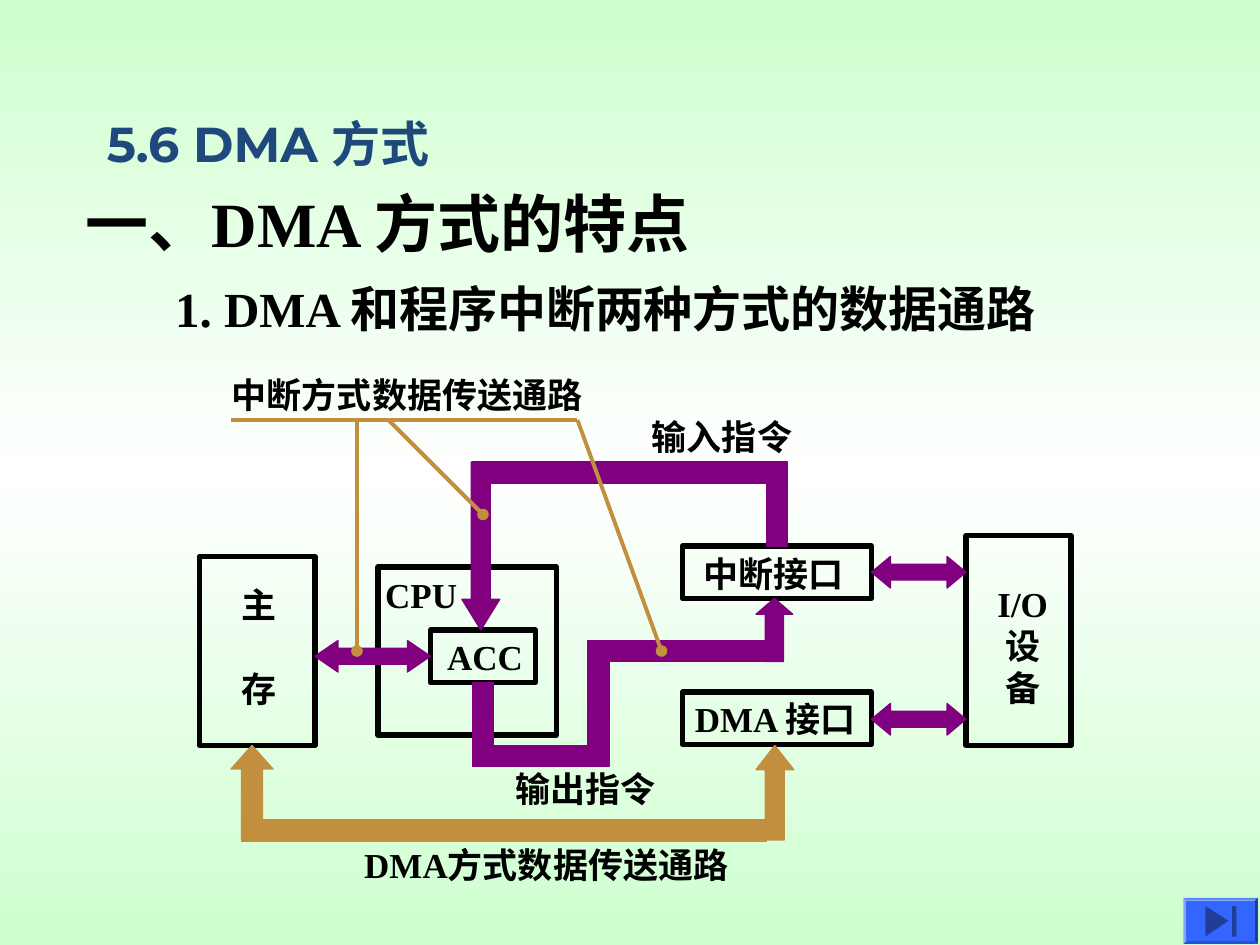
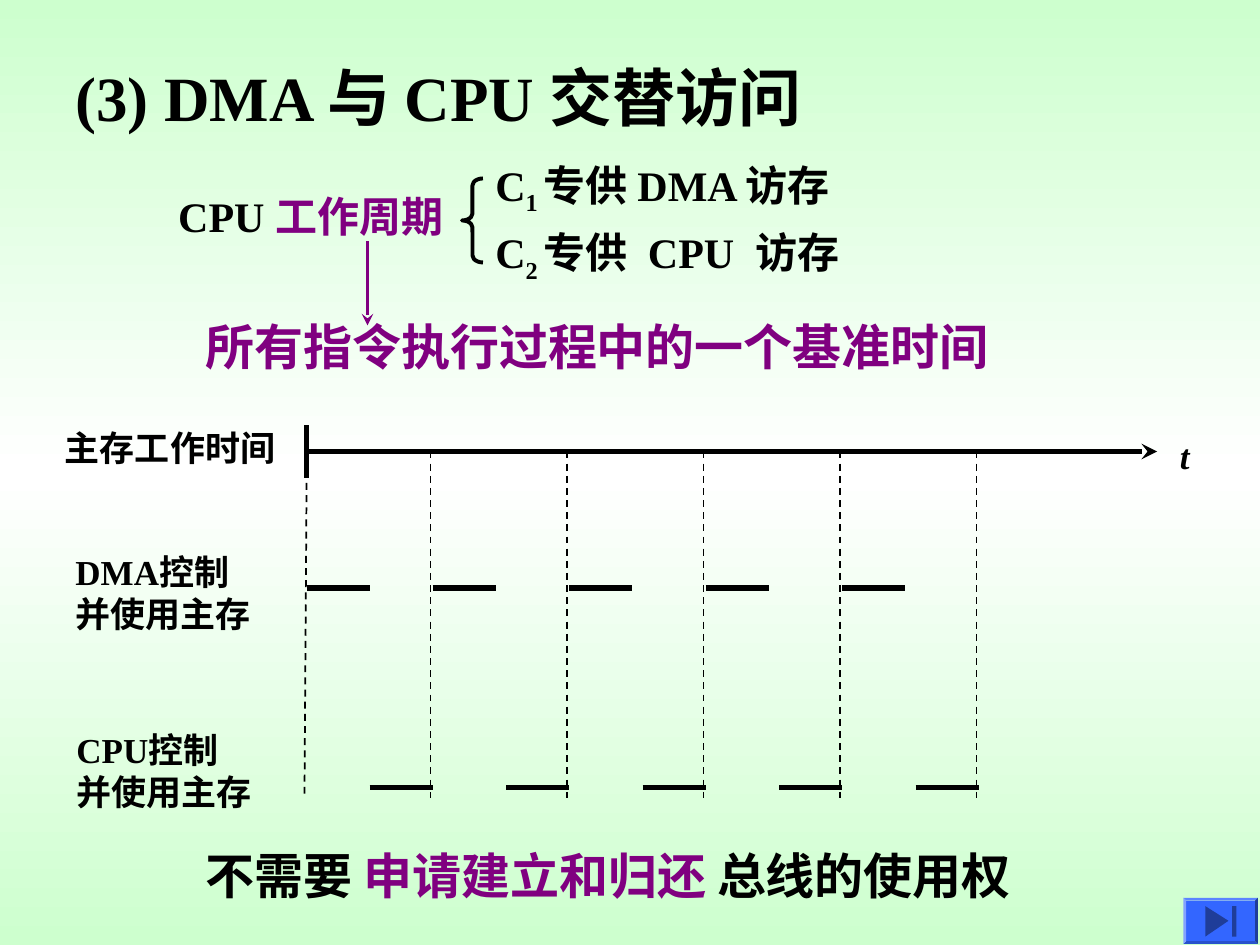
import copy
import pptx
import pptx.dml.color
import pptx.enum.dml
import pptx.enum.shapes
import pptx.enum.text
import pptx.oxml
import pptx.oxml.ns
import pptx.util

RGB = pptx.dml.color.RGBColor
SHAPE = pptx.enum.shapes.MSO_SHAPE
ALIGN = pptx.enum.text.PP_ALIGN
ANCHOR = pptx.enum.text.MSO_ANCHOR
BLACK = RGB(0x00, 0x00, 0x00)
WHITE = RGB(0xFF, 0xFF, 0xFF)
GREEN = RGB(0xCD, 0xFF, 0xCE)
NAVY = RGB(0x1F, 0x49, 0x7D)
PURPLE = RGB(0x80, 0x00, 0x80)
GOLD = RGB(0xC2, 0x8F, 0x3E)
BLUE = RGB(0x33, 0x66, 0xFF)
DARK = RGB(0x1F, 0x3D, 0x99)
SERIF = "Times New Roman"
COLS, ROWS = 120, 90


class Deck:
    def __init__(self):
        self.file = pptx.Presentation()
        self.file.slide_width = pptx.util.Inches(10)
        self.file.slide_height = pptx.util.Inches(7.5)
        self.slide = None

    def x(self, cols):
        return round(self.file.slide_width * cols / COLS)

    def y(self, rows):
        return round(self.file.slide_height * rows / ROWS)

    def area(self, left, top, width, height):
        return self.x(left), self.y(top), self.x(width), self.y(height)

    def page(self):
        self.slide = self.file.slides.add_slide(self.file.slide_layouts[6])
        fill = self.slide.background.fill
        fill.gradient()
        fill.gradient_angle = 270
        first = self.slide.element.find(".//" + pptx.oxml.ns.qn("a:gs"))
        first.addnext(copy.deepcopy(first))
        stops = zip(fill.gradient_stops, (GREEN, WHITE, GREEN), (0, 0.5, 1))
        for stop, color, place in stops:
            stop.color.rgb = color
            stop.position = place

    def text(self, left, top, width, lines, size=20, color=BLACK, height=5,
             font=SERIF, align=ALIGN.LEFT, anchor=ANCHOR.TOP, gap=0, italic=None):
        box = self.slide.shapes.add_textbox(*self.area(left, top, width, height))
        frame = box.text_frame
        frame.word_wrap = True
        frame.vertical_anchor = anchor
        for i, line in enumerate(lines):
            para = frame.add_paragraph() if i else frame.paragraphs[0]
            para.alignment = align
            if i:
                para.space_before = pptx.util.Pt(gap)
            para.font.size = pptx.util.Pt(size)
            para.font.name = font
            para.font.bold = True
            para.font.italic = italic
            para.font.color.rgb = color
            for part in [(line, {})] if isinstance(line, str) else line:
                self.run(para, *part)

    def run(self, para, words, marks):
        run = para.add_run()
        run.text = words
        if "color" in marks:
            run.font.color.rgb = marks["color"]
        for key in ("baseline", "spc"):
            if key in marks:
                run.font._element.set(key, str(marks[key]))

    def paint(self, shape, fill=None, line=None, weight=0.75):
        shape.shadow.inherit = False
        if fill is None:
            shape.fill.background()
        else:
            shape.fill.solid()
            shape.fill.fore_color.rgb = fill
        if line is None:
            shape.line.fill.background()
        else:
            shape.line.color.rgb = line
            shape.line.width = pptx.util.Pt(weight)

    def shape(self, kind, place, fill=None, line=None, weight=0.75, adjust=()):
        shape = self.slide.shapes.add_shape(kind, *self.area(*place))
        for i, value in enumerate(adjust):
            shape.adjustments[i] = value
        self.paint(shape, fill, line, weight)

    def frame(self, *place):
        self.shape(SHAPE.RECTANGLE, place, line=BLACK, weight=3)

    def pipe(self, color, *place):
        self.shape(SHAPE.RECTANGLE, place, color, color)

    def arrow(self, kind, color, head, *place):
        self.shape(kind, place, color, color, adjust=(0.5, head))

    def line(self, x1, y1, x2, y2, color=BLACK, weight=3.0, tail=None, dash=False):
        link = self.slide.shapes.add_connector(
            pptx.enum.shapes.MSO_CONNECTOR.STRAIGHT,
            self.x(x1), self.y(y1), self.x(x2), self.y(y2))
        link.line.color.rgb = color
        link.line.width = pptx.util.Pt(weight)
        if dash:
            link.line.dash_style = pptx.enum.dml.MSO_LINE.DASH
        make = pptx.oxml.ns.qn
        if tail:
            end = link.line._get_or_add_ln().makeelement(make("a:tailEnd"), {"type": tail})
            link.line._get_or_add_ln().append(end)
        props = link._element.spPr
        props.append(props.makeelement(make("a:effectLst"), {}))

    def button(self):
        self.shape(SHAPE.BEVEL, (112.7, 85.5, 7.1, 4.4), BLUE, adjust=(0.06,))
        pen = self.slide.shapes.build_freeform(self.x(114.8), self.y(86.3))
        pen.add_line_segments([(self.x(117), self.y(87.7)),
                               (self.x(114.8), self.y(89.2))], close=True)
        self.paint(pen.convert_to_shape(), DARK)
        self.shape(SHAPE.RECTANGLE, (117.35, 86.3, 0.4, 2.9), DARK)


def paths(deck):
    deck.page()
    deck.text(9, 2, 102, ["5.6 DMA 方式"], 28, NAVY, height=15,
              font="Montserrat", anchor=ANCHOR.BOTTOM)
    deck.text(7, 17, 67, ["一、DMA 方式的特点"], 36)
    deck.text(15.5, 25.9, 90, ["1. DMA 和程序中断两种方式的数据通路"], 28)

    for place in ((36, 54, 17, 16), (19, 53, 11, 18), (41, 60, 10, 5),
                  (65, 52, 18, 5), (65, 65.9, 18, 5), (92, 51, 10, 20)):
        deck.frame(*place)
    deck.text(35.5, 54, 15, ["CPU"])
    deck.text(21.8, 55, 7, ["主", "存"], gap=24)
    deck.text(41.4, 59.9, 12, ["ACC"])
    deck.text(65.8, 52, 18, ["中断接口"])
    deck.text(65, 65.8, 20, ["DMA 接口"])
    deck.text(92.4, 54.9, 10, ["I/O", "设", "备"], align=ALIGN.CENTER)

    for place in ((45, 65, 2, 7), (45, 71, 12, 2), (56, 62, 2, 11),
                  (56, 61, 18, 2), (73, 45, 2, 7), (45, 44, 30, 2)):
        deck.pipe(PURPLE, *place)
    deck.arrow(SHAPE.UP_ARROW, PURPLE, 0.43, 72, 57, 3.5, 6)
    deck.arrow(SHAPE.DOWN_ARROW, PURPLE, 0.81, 44, 44, 3.6, 16)
    deck.arrow(SHAPE.LEFT_RIGHT_ARROW, PURPLE, 0.73, 30, 61, 11, 3)
    for top in (53, 67):
        deck.arrow(SHAPE.LEFT_RIGHT_ARROW, PURPLE, 0.6, 83, top, 9, 3)
    deck.arrow(SHAPE.UP_ARROW, GOLD, 0.56, 22, 71, 4, 9)
    deck.pipe(GOLD, 23, 78.1, 50, 2)
    deck.arrow(SHAPE.UP_ARROW, GOLD, 0.64, 72, 71, 3.6, 9)

    deck.line(22, 40, 55, 40, GOLD, 2.25)
    for ends in ((34, 40, 34, 62), (37, 40, 46, 49), (55, 40, 63, 62)):
        deck.line(*ends, GOLD, 2.25, "oval")
    for left, top, label in ((20.9, 35, "中断方式数据传送通路"),
                             (60.9, 39, "输入指令"),
                             (47.9, 72.5, "输出指令"),
                             (33.5, 79.7, "DMA方式数据传送通路")):
        deck.text(left, top, 40, [label])
    deck.button()


def cycles(deck):
    deck.page()
    deck.text(6, 5, 90, ["(3) DMA 与 CPU 交替访问"], 36)
    deck.text(15.8, 17.6, 31, [[("CPU ", {}), ("工作周期", {"color": PURPLE})]], 24)
    deck.shape(SHAPE.LEFT_BRACE, (44, 17, 2, 8), line=BLACK, weight=2.25,
               adjust=(0.33, 0.5))
    low = {"baseline": -25000}
    wide = {"spc": 600}
    deck.text(46, 14.6, 53, [[("C", {}), ("1 ", low), ("专供 DMA 访存", {})]], 24)
    deck.text(46, 21, 53, [[("C", {}), ("2 ", low), ("专供", {}), (" ", wide),
                            ("CPU", {}), (" ", wide), ("访存", {})]], 24)
    deck.text(18.4, 29.6, 91, ["所有指令执行过程中的一个基准时间"], 28, PURPLE)
    deck.line(35, 23, 35, 31, PURPLE, 2.25, "stealth")

    start, step, half = 29.2, 13, 6
    deck.text(5, 40, 26, ["主存工作时间"])
    deck.text(6, 51.8, 22, ["DMA控制", "并使用主存"])
    deck.text(6.1, 68.8, 22, ["CPU控制", "并使用主存"])
    deck.text(111.2, 40.8, 5, ["t"], italic=True)
    deck.line(start, 40.5, start, 45.5)
    deck.line(start, 43, 110.2, 43, tail="stealth")
    deck.line(start, 46, 29, 75.8, weight=1, dash=True)
    for i in range(5):
        left = max(start, 28.2 + step * i)
        right = 35.2 + step * i
        edge = 41 + step * i
        deck.line(left, 56, left + half, 56)
        deck.line(right, 75, right + half, 75)
        deck.line(edge, 43, edge, 76, weight=1, dash=True)

    deck.text(18.4, 79.9, 96, [[("不需要 ", {}), ("申请建立和归还 ", {"color": PURPLE}),
                                ("总线的使用权", {})]], 28)
    deck.button()


def main():
    deck = Deck()
    paths(deck)
    cycles(deck)
    deck.file.save("out.pptx")


if __name__ == "__main__":
    main()
